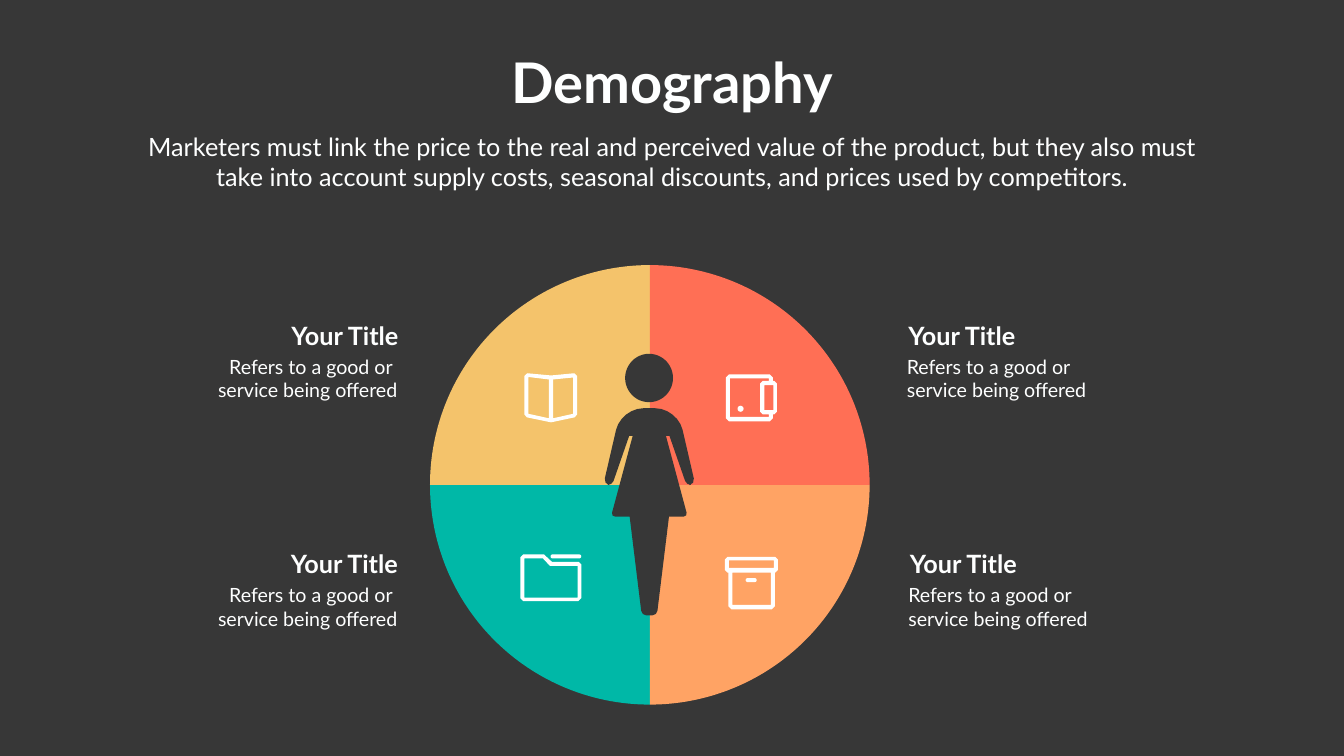
"""Build the Demography slide: a four-quarter circle with icons, a figure and captions."""
import math

import pptx
import pptx.dml.color
import pptx.enum.shapes
import pptx.enum.text
import pptx.util

PX = 9144
FONT = "Lato"
DARK, WHITE, TEXT = "373737", "FFFFFF", "FEFFFF"
KINDS = pptx.enum.shapes.MSO_SHAPE
ALIGN = pptx.enum.text.PP_ALIGN
color = pptx.dml.color.RGBColor.from_string

presentation = pptx.Presentation()
presentation.slide_width = 2666 * PX
presentation.slide_height = 1500 * PX
slide = presentation.slides.add_slide(presentation.slide_layouts[6])
slide.background.fill.solid()
slide.background.fill.fore_color.rgb = color(DARK)


def paint(shape, fill):
    """Give a shape a plain fill without line or shadow."""
    shape.shadow.inherit = False
    shape.fill.solid()
    shape.fill.fore_color.rgb = color(fill)
    shape.line.fill.background()


def write(box, lines, size, align, bold=False):
    """Add a text box with one paragraph per line."""
    frame = slide.shapes.add_textbox(*(value * PX for value in box)).text_frame
    frame.word_wrap = True
    for index, line in enumerate(lines):
        paragraph = frame.add_paragraph() if index else frame.paragraphs[0]
        paragraph.alignment = align
        run = paragraph.add_run()
        run.text = line
        run.font.name = FONT
        run.font.size = pptx.util.Pt(size)
        run.font.bold = bold
        run.font.color.rgb = color(TEXT)


for left, top, rotation, fill in (
    (853, 962, 270, "00B8A7"),
    (853, 526, 0, "F4C36B"),
    (1289, 962, 180, "FFA364"),
    (1289, 526, 90, "FF6F55"),
):
    quarter = slide.shapes.add_shape(KINDS.PIE_WEDGE, left * PX, top * PX, 436 * PX, 436 * PX)
    quarter.rotation = rotation
    paint(quarter, fill)

for kind, box, fill in (
    (KINDS.OVAL, (1463, 805, 12, 12), WHITE),
    (KINDS.ROUNDED_RECTANGLE, (1092, 1100, 61, 8), WHITE),
    (KINDS.ROUNDED_RECTANGLE, (1479, 1147, 22, 8), WHITE),
    (KINDS.OVAL, (1240, 702, 95, 96), DARK),
):
    shape = slide.shapes.add_shape(kind, *(value * PX for value in box))
    paint(shape, fill)
    if kind == KINDS.ROUNDED_RECTANGLE:
        shape.adjustments[0] = 0.5

wallet = (
    [(1440, 743, 6), (1533, 743, 6), (1533, 756), (1541, 756, 5),
     (1541, 822, 5), (1533, 822), (1533, 836, 6), (1440, 836, 6)],
    [(1525, 827), (1448, 827), (1448, 751), (1525, 751),
     (1525, 756), (1508, 756, 5), (1508, 822, 5), (1525, 822)],
    [(1534, 814), (1516, 814), (1516, 764), (1534, 764)],
)
folder = (
    [(1032, 1193, 6), (1032, 1100, 6), (1079, 1100),
     (1095, 1115), (1153, 1115, 5), (1153, 1193, 6)],
    [(1040, 1186), (1146, 1186), (1146, 1123),
     (1091, 1123), (1077, 1108), (1040, 1108)],
)
archive = (
    [(1438, 1105, 5), (1543, 1105, 5), (1543, 1136, 5), (1537, 1136),
     (1537, 1209, 6), (1445, 1209, 6), (1445, 1136), (1438, 1136, 5)],
    [(1446, 1112), (1535, 1112), (1535, 1127), (1446, 1127)],
    [(1453, 1136), (1529, 1136), (1529, 1200), (1453, 1200)],
)
book = (
    [(1040, 740, 6), (1093, 745), (1145, 740, 6),
     (1145, 827, 5), (1093, 838), (1040, 827, 5)],
    [(1048, 748), (1089, 753), (1089, 830), (1048, 821)],
    [(1097, 753), (1137, 749), (1137, 821), (1097, 830)],
)
right_half = [
    (1344, 810, 44), (1379, 961, 12), (1362, 963, 9), (1328, 865), (1321, 865),
    (1364, 1025, 8), (1327, 1025), (1303, 1221, 9),
]
left_half = [(2 * 1288 - x, *rest) for x, *rest in reversed(right_half)]
figure = (right_half + left_half,)

for contours, fill in (
    (wallet, WHITE), (folder, WHITE), (archive, WHITE), (book, WHITE), (figure, DARK),
):
    builder = None
    for corners in contours:
        points = []
        for index, (x, y, *rounding) in enumerate(corners):
            if not rounding:
                points.append((x * PX, y * PX))
                continue
            ends = []
            for neighbor in (corners[index - 1], corners[(index + 1) % len(corners)]):
                dx, dy = neighbor[0] - x, neighbor[1] - y
                reach = rounding[0] / math.hypot(dx, dy)
                ends.append((x + dx * reach, y + dy * reach))
            steps = 6 if rounding[0] > 20 else 2 if rounding[0] > 6 else 1
            for step in range(steps + 1):
                t = step / steps
                a = (1 - t) ** 3 + 3 * (1 - t) ** 2 * t * 0.45
                b = t ** 3 + 3 * (1 - t) * t ** 2 * 0.45
                points.append(tuple(
                    (a * start + b * end + (1 - a - b) * corner) * PX
                    for start, end, corner in zip(*ends, (x, y))
                ))
        if builder is None:
            builder = slide.shapes.build_freeform(*points[0], scale=1.0)
        else:
            builder.move_to(*points[0])
        builder.add_line_segments(points[1:], close=True)
    paint(builder.convert_to_shape(), fill)

write((997, 90, 672, 145), ["Demography"], 80, ALIGN.CENTER, True)
write(
    (268, 256, 2130, 131),
    ["Marketers must link the price to the real and perceived value of the product, "
     "but they also must take into account supply costs, seasonal discounts, "
     "and prices used by competitors."],
    36, ALIGN.CENTER,
)
for title_left, body_left, top, align, first_line in (
    (1792, 1789, 630, ALIGN.LEFT, "Refers to a good or"),
    (1795, 1792, 1083, ALIGN.LEFT, "Refers to a good or"),
    (539, 401, 630, ALIGN.RIGHT, "Refers to a good or "),
    (538, 401, 1083, ALIGN.RIGHT, "Refers to a good or "),
):
    write((title_left, top, 261, 71), ["Your Title"], 36, align, True)
    write((body_left, top + 69, 397, 104),
          [first_line, "service being offered"], 28, align)

presentation.save("out.pptx")
